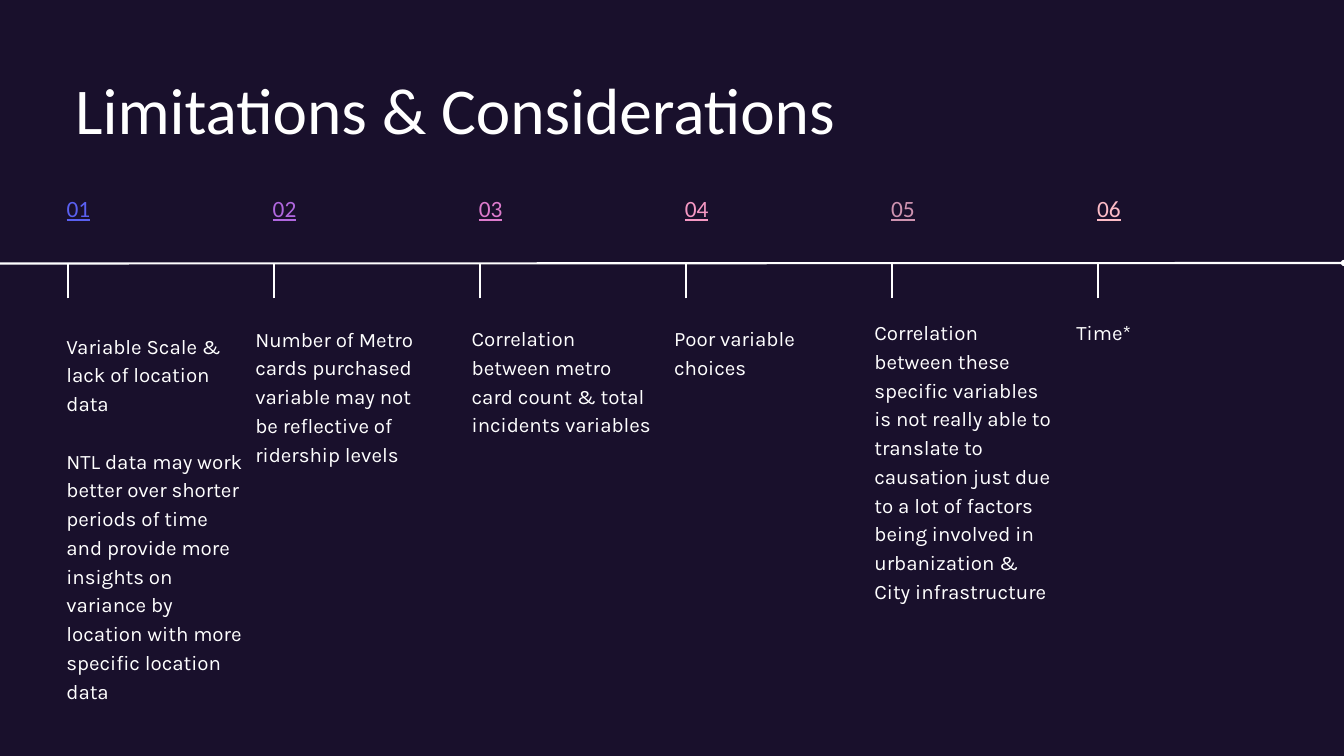
from dataclasses import dataclass

from lxml.etree import SubElement
from pptx import Presentation
from pptx.dml.color import RGBColor
from pptx.enum.shapes import MSO_CONNECTOR as Connector
from pptx.enum.text import MSO_ANCHOR as Anchor, MSO_AUTO_SIZE as AutoSize, PP_ALIGN as Align
from pptx.oxml.ns import qn
from pptx.util import Cm, Pt


@dataclass(frozen=True)
class Theme:
    background: str = "19102C"
    ink: str = "FFFFFF"
    heading_font: str = "Calibri"
    body_font: str = "Karla"
    title_size: float = 70
    title_leading: float = 84
    number_size: float = 25
    number_leading: float = 30
    body_size: float = 22
    body_leading: float = 30.8
    line_width: float = 2.25


THEME = Theme()
FIRST_STEP, STEP_PITCH = 2.56, 7.79
AXIS_TOP = 9.94

# number colour, text left, text top, text height, paragraphs
STEPS = [
    ("5A60F1", 2.51, 12.45, 14.07, [
        "Variable Scale & lack of location data",
        "NTL data may work better over shorter periods of time and provide more "
        "insights on variance by location with more specific location data"]),
    ("B067DF", 9.65, 12.19, 5.44, [
        "Number of Metro cards purchased variable may not be reflective of ridership levels"]),
    ("DD7BCD", 17.83, 12.17, 4.29, [
        "Correlation between metro card count & total incidents variables"]),
    ("F598C3", 25.48, 12.17, 2.13, ["Poor variable choices"]),
    ("CE93B0", 33.05, 11.94, 11.89, [
        "Correlation between these specific variables is not really able to translate to "
        "causation just due to a lot of factors being involved in urbanization & "
        "City infrastructure"]),
    ("FCBBC6", 40.69, 11.94, 1.04, ["Time*"]),
]


def prepare_frame(shape):
    frame = shape.text_frame
    frame.word_wrap = True
    frame.auto_size = AutoSize.NONE
    frame.vertical_anchor = Anchor.TOP
    frame.margin_left = frame.margin_top = frame.margin_right = frame.margin_bottom = 0
    return frame


def write_paragraph(para, text, font, size, leading, color=THEME.ink, underline=None):
    para.alignment = Align.LEFT
    para.line_spacing = Pt(leading)
    span = para.add_run()
    span.text = text
    span.font.name = font
    span.font.size = Pt(size)
    span.font.underline = underline
    span.font.color.rgb = RGBColor.from_string(color)


def add_title(page, text):
    title = page.shapes.title
    title.left, title.top, title.width, title.height = Cm(2.84), Cm(2.62), Cm(43.66), Cm(3.18)
    write_paragraph(prepare_frame(title).paragraphs[0], text,
                    THEME.heading_font, THEME.title_size, THEME.title_leading)


def add_line(page, x1, y1, x2, y2, end=None):
    line = page.shapes.add_connector(Connector.STRAIGHT, Cm(x1), Cm(y1), Cm(x2), Cm(y2))
    line.line.color.rgb = RGBColor.from_string(THEME.ink)
    line.line.width = Pt(THEME.line_width)
    if end:
        SubElement(line.line._get_or_add_ln(), qn("a:tailEnd")).set("type", end)
    SubElement(line._element.spPr, qn("a:effectLst"))


def add_number(page, left, text, color):
    box = page.shapes.add_textbox(Cm(left), Cm(7.34), Cm(5.46), Cm(1.12))
    write_paragraph(prepare_frame(box).paragraphs[0], text, THEME.heading_font,
                    THEME.number_size, THEME.number_leading, color, underline=True)


def add_body(page, left, top, height, texts):
    """Add a column of text with one line of space between its paragraphs."""
    box = page.shapes.add_textbox(Cm(left), Cm(top), Cm(6.83), Cm(height))
    frame = prepare_frame(box)
    for index, text in enumerate(texts):
        para = frame.add_paragraph() if index else frame.paragraphs[0]
        if index:
            para.space_before = Pt(THEME.body_leading)
        write_paragraph(para, text, THEME.body_font, THEME.body_size, THEME.body_leading)


def main():
    deck = Presentation()
    deck.slide_width, deck.slide_height = Cm(50.8), Cm(28.575)
    page = deck.slides.add_slide(deck.slide_layouts[5])
    page.background.fill.solid()
    page.background.fill.fore_color.rgb = RGBColor.from_string(THEME.background)

    add_title(page, "Limitations & Considerations")
    add_line(page, -0.33, 9.96, 50.8, AXIS_TOP, end="oval")
    for index, (color, left, top, height, texts) in enumerate(STEPS):
        x = FIRST_STEP + index * STEP_PITCH
        add_line(page, x, 11.28, x, AXIS_TOP)
        add_number(page, x - 0.04, f"{index + 1:02}", color)
        add_body(page, left, top, height, texts)

    deck.save("out.pptx")


if __name__ == "__main__":
    main()
